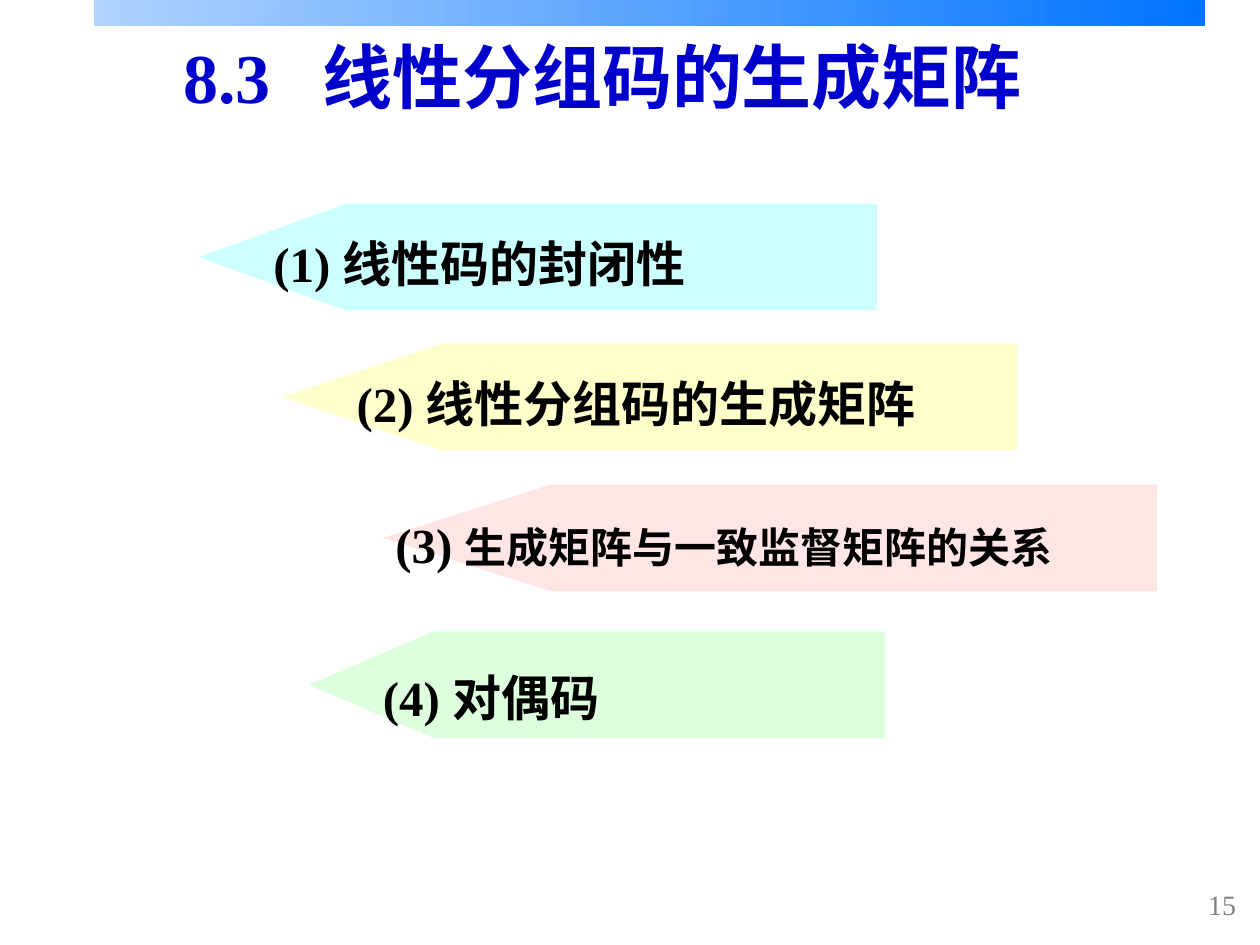
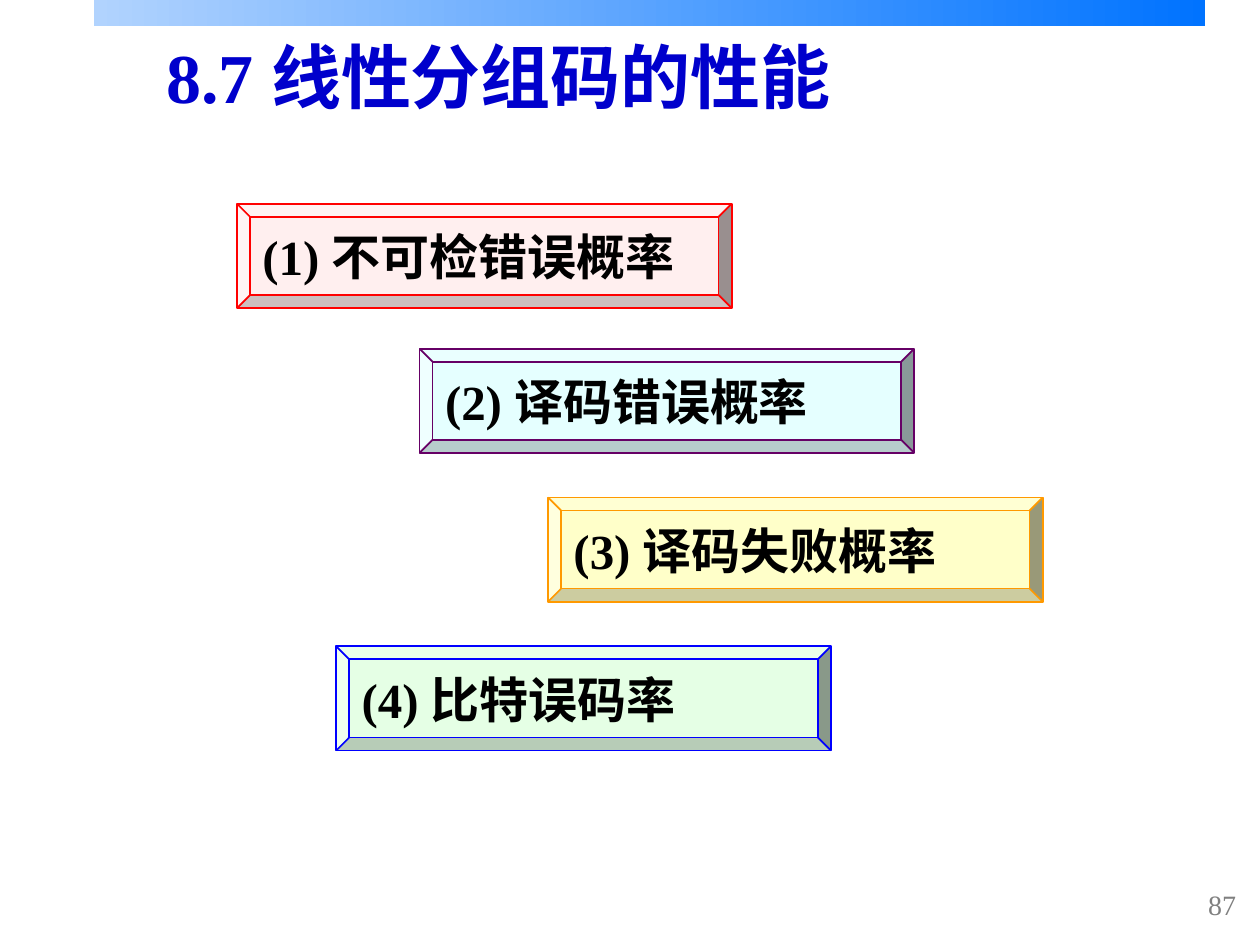
"""Two section-overview slides on linear block codes."""
from lxml import etree
from pptx import Presentation
from pptx.dml.color import RGBColor
from pptx.enum import shapes, text
from pptx.oxml import ns
from pptx.util import Cm, Pt

FONT = "Times New Roman"
TITLE_BLUE = RGBColor(0x00, 0x00, 0xCC)
BAND_LIGHT = RGBColor(0xB1, 0xD3, 0xFE)
BAND_DARK = RGBColor(0x00, 0x73, 0xFF)
BLACK = RGBColor(0x00, 0x00, 0x00)
GREY = RGBColor(0x80, 0x80, 0x80)
CYAN = RGBColor(0xCC, 0xFF, 0xFF)
YELLOW = RGBColor(0xFF, 0xFF, 0xCC)
PINK = RGBColor(0xFF, 0xE5, 0xE5)
GREEN = RGBColor(0xDD, 0xFF, 0xDD)
PALE_PINK = RGBColor(0xFF, 0xEF, 0xEF)
PALE_CYAN = RGBColor(0xE5, 0xFF, 0xFF)
PALE_YELLOW = RGBColor(0xFF, 0xFF, 0xC9)
PALE_GREEN = RGBColor(0xE5, 0xFF, 0xE5)
RED = RGBColor(0xFF, 0x00, 0x00)
PURPLE = RGBColor(0x66, 0x00, 0x66)
ORANGE = RGBColor(0xFF, 0x99, 0x00)
BLUE = RGBColor(0x00, 0x00, 0xFF)

INSET = 0.25
ARROW_HEIGHT, ARROW_TIP = 2.15, 0.217
BEVEL_WIDTH, BEVEL_HEIGHT = 9.97, 2.1

# (wording, left, top, width, fill, text inset, text size, line spacing)
ARROWS = [
    ("线性码的封闭性", 4.01, 4.11, 13.67, CYAN, 1.5, 28, 1.2),
    ("线性分组码的生成矩阵", 5.69, 6.93, 14.81, YELLOW, 1.5, 28, 1.2),
    ("生成矩阵与一致监督矩阵的关系", 7.72, 9.77, 15.6, PINK, INSET, 24, 1.2),
    ("对偶码", 6.22, 12.73, 11.63, GREEN, 1.5, 28, 1.4),
]
# (wording, left, top, fill, line)
BEVELS = [
    ("不可检错误概率", 4.78, 4.11, PALE_PINK, RED),
    ("译码错误概率", 8.46, 7.03, PALE_CYAN, PURPLE),
    ("译码失败概率", 11.05, 10.03, PALE_YELLOW, ORANGE),
    ("比特误码率", 6.78, 13.03, PALE_GREEN, BLUE),
]


def style(box, size, colour, bold=True, align=text.PP_ALIGN.LEFT, inset=INSET):
    """Format the single paragraph of a box and return it."""
    frame = box.text_frame
    frame.word_wrap = True
    frame.auto_size = text.MSO_AUTO_SIZE.NONE
    frame.vertical_anchor = text.MSO_ANCHOR.MIDDLE
    frame.margin_left, frame.margin_right = Cm(inset), Cm(INSET)
    frame.margin_top = frame.margin_bottom = Cm(0.13)
    para = frame.paragraphs[0]
    para.alignment = align
    font = para.font
    font.name, font.size, font.bold = FONT, Pt(size), bold
    font.color.rgb = colour
    return para


def paint(box, fill, line=None):
    """Give a shape a flat fill, an optional outline and no shadow."""
    box.shadow.inherit = False
    box.fill.solid()
    box.fill.fore_color.rgb = fill
    if line is None:
        box.line.fill.background()
    else:
        box.line.color.rgb = line
        box.line.width = Pt(1)


def add_label(box, number, wording, size=28, inset=INSET, spacing=1.0):
    """Write a numbered label into a shape."""
    para = style(box, 28, BLACK, inset=inset)
    para.line_spacing = spacing
    para.add_run().text = f"({number}) "
    span = para.add_run()
    span.text = wording
    if size != 28:
        span.font.size = Pt(size)


def add_page(deck, title, number, inset=INSET, tab=None):
    """Add a slide with the shared band, title and page number."""
    page = deck.slides.add_slide(deck.slide_layouts[5])
    band = page.shapes.add_shape(shapes.MSO_SHAPE.RECTANGLE, Cm(1.9), 0, Cm(22.4), Cm(0.52))
    paint(band, BAND_LIGHT)
    band.fill.gradient()
    band.fill.gradient_angle = 0
    for stop, colour in zip(band.fill.gradient_stops, (BAND_LIGHT, BAND_DARK)):
        stop.color.rgb = colour

    heading = page.shapes.title
    heading.left, heading.top, heading.width, heading.height = Cm(3.1), Cm(0.53), Cm(22.3), Cm(2)
    heading.text_frame.text = title
    if tab:
        properties = heading.text_frame.paragraphs[0]._p.get_or_add_pPr()
        tabs = etree.SubElement(properties, ns.qn("a:tabLst"))
        etree.SubElement(tabs, ns.qn("a:tab"), pos=str(Cm(tab)), algn="l")
    style(heading, 40, TITLE_BLUE, inset=inset)

    footer = page.shapes.add_textbox(Cm(23.22), Cm(17.73), Cm(1.95), Cm(1))
    footer.text_frame.text = str(number)
    style(footer, 16, GREY, bold=False, align=text.PP_ALIGN.RIGHT)
    return page


def add_arrow(page, number, wording, left, top, width, fill, inset, size, spacing):
    """Add a left-pointing pentagon with its label."""
    right, bottom = left + width, top + ARROW_HEIGHT
    neck = left + width * ARROW_TIP
    outline = [(neck, top), (left, top + ARROW_HEIGHT / 2), (neck, bottom), (right, bottom)]
    builder = page.shapes.build_freeform(Cm(right), Cm(top))
    builder.add_line_segments([(Cm(x), Cm(y)) for x, y in outline])
    arrow = builder.convert_to_shape()
    paint(arrow, fill)
    add_label(arrow, number, wording, size, inset, spacing)


def add_bevel(page, number, wording, left, top, fill, line):
    """Add a bevelled button with its label."""
    bevel = page.shapes.add_shape(
        shapes.MSO_SHAPE.BEVEL, Cm(left), Cm(top), Cm(BEVEL_WIDTH), Cm(BEVEL_HEIGHT))
    paint(bevel, fill, line)
    add_label(bevel, number, wording)


def main():
    """Build and save the deck."""
    deck = Presentation()
    deck.slide_width, deck.slide_height = Cm(25.4), Cm(19.05)
    page = add_page(deck, "8.3\t线性分组码的生成矩阵", 15, inset=0.6, tab=2.8)
    for number, arrow in enumerate(ARROWS, 1):
        add_arrow(page, number, *arrow)
    page = add_page(deck, "8.7 线性分组码的性能", 87)
    for number, bevel in enumerate(BEVELS, 1):
        add_bevel(page, number, *bevel)
    deck.save("out.pptx")


if __name__ == "__main__":
    main()
